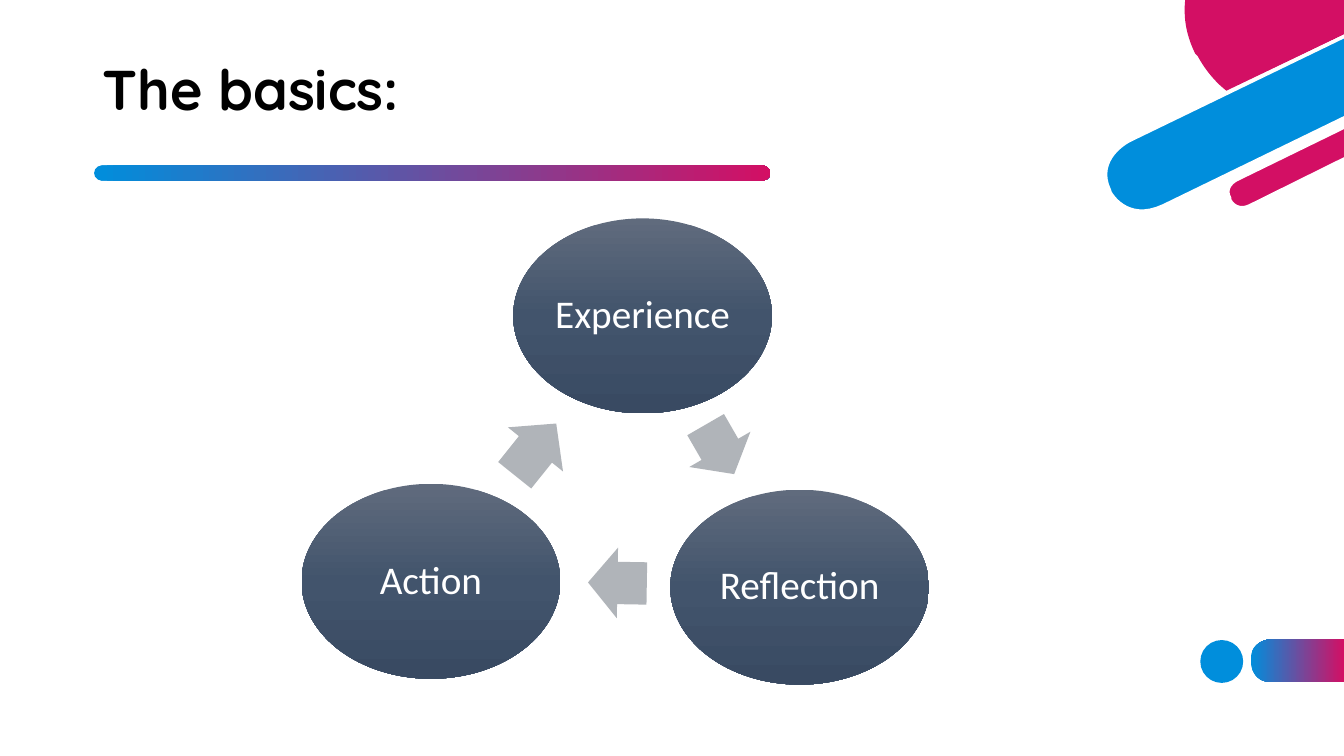
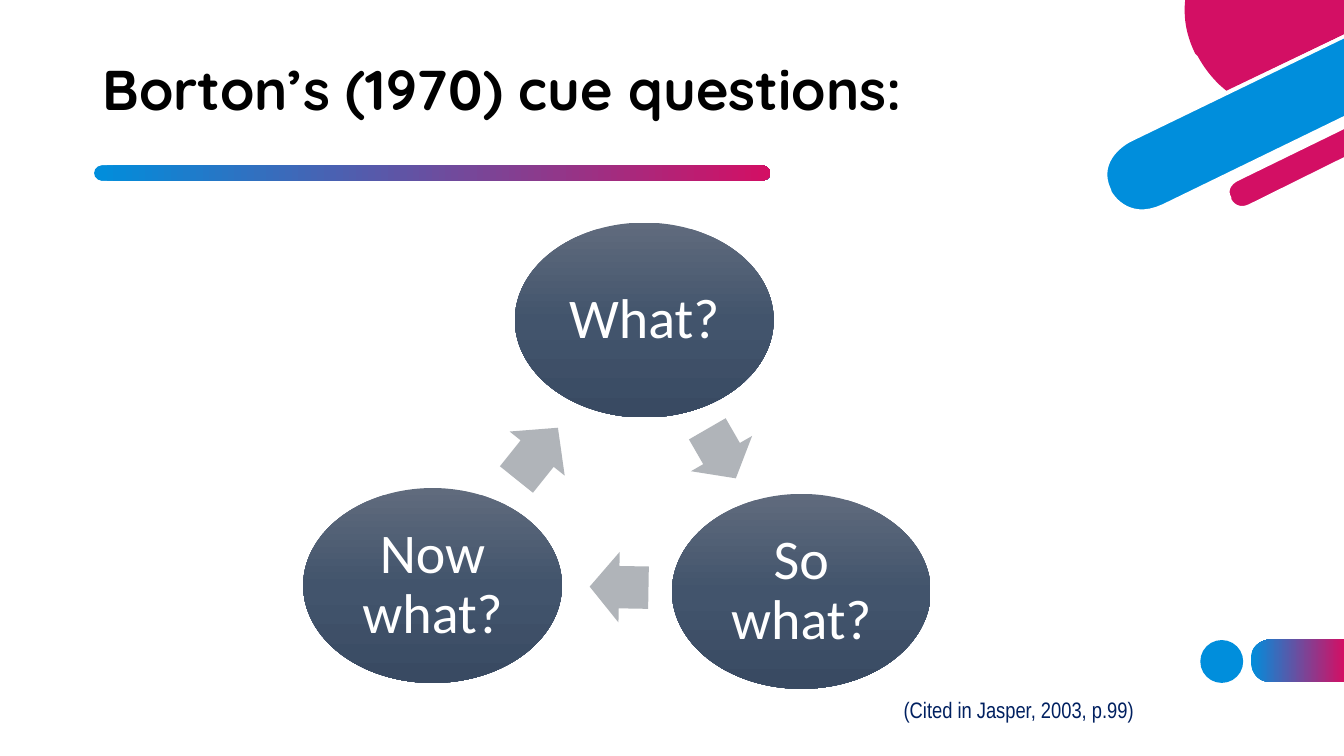
import copy
from dataclasses import dataclass

import pptx
import pptx.dml.color
import pptx.enum.shapes
import pptx.enum.text
import pptx.oxml.ns
import pptx.util

SHAPES = pptx.enum.shapes.MSO_SHAPE
ALIGN = pptx.enum.text.PP_ALIGN
ANCHOR = pptx.enum.text.MSO_ANCHOR
COLUMNS, ROWS = 16, 9
CELL = pptx.util.Inches(7.5) / ROWS


@dataclass(frozen=True)
class Theme:
    blue: str = "008EDC"
    pink: str = "D30F64"
    white: str = "FFFFFF"
    black: str = "000000"
    navy: str = "002060"
    arrow: str = "B0B4B9"
    sweep: tuple = ((0, "008EDC"), (1, "D30F64"))
    slate: tuple = ((0, "606B7D"), (0.5, "42546C"), (1, "394A62"))
    title_font: str = "Quicksand"
    node_font: str = "Calibri"
    note_font: str = "Arial Narrow"
    title_size: int = 40
    word_size: int = 28
    question_size: int = 40
    note_size: int = 16
    band_edge: float = 2.5


# Outlines in columns and rows: pairs are corners, sixes are Bezier curves
TAB = [(15.14, 8.12), (16, 8.12), (16, 7.61), (15.14, 7.61),
       (15.14, 7.61, 14.89, 7.61, 14.89, 7.86), (14.89, 7.87),
       (14.89, 7.87, 14.89, 8.12, 15.14, 8.12)]
BLOB = [(14.26, 0.67), (14.26, 0.67, 14.38, 0.91, 14.6, 1.08), (16, 0.41),
        (16, 0), (14.11, 0), (14.09, 0.18, 14.11, 0.4, 14.23, 0.64)]
WIDE_BAND = [(13.45, 1.67), (13.45, 1.67, 13.02, 1.88, 13.21, 2.27),
             (13.21, 2.28), (13.21, 2.28, 13.4, 2.66, 13.85, 2.45),
             (16.03, 1.39), (16.03, 0.42)]
THIN_BAND = [(16.03, 1.5), (14.72, 2.14),
             (14.72, 2.14, 14.56, 2.22, 14.64, 2.36), (14.64, 2.38),
             (14.64, 2.38, 14.71, 2.53, 14.88, 2.45), (16.03, 1.88)]

# Cycle parts, measured from the cycle's top left corner
NODE_SIZE = (3.08, 2.32)
NODES = [(2.52, 0), (4.39, 3.23), (0, 3.16)]
ARROW_HEIGHT = 0.84
ARROWS = [(4.64, 2.33, 0.68, 60), (3.41, 3.92, 0.7, 181),
          (2.39, 2.33, 0.79, 308.7)]  # left, top, width, rotation


def cells(*values):
    return [pptx.util.Emu(round(value * CELL)) for value in values]


def rgb(code):
    return pptx.dml.color.RGBColor.from_string(code)


def trace(outline, steps=16):
    """Turn corners and curves into a list of points."""
    points = [outline[0]]
    for part in outline[1:]:
        if len(part) == 2:
            points.append(part)
            continue
        knots = [points[-1], part[:2], part[2:4], part[4:]]
        for step in range(1, steps + 1):
            t = step / steps
            weights = ((1 - t) ** 3, 3 * t * (1 - t) ** 2,
                       3 * t * t * (1 - t), t ** 3)
            points.append(tuple(sum(w * knot[axis] for w, knot in zip(weights, knots))
                                for axis in (0, 1)))
    return points


class Painter:
    def __init__(self, theme):
        self.theme = theme
        self.deck = pptx.Presentation()
        self.deck.slide_width, self.deck.slide_height = cells(COLUMNS, ROWS)
        self.layout = self.deck.slide_layouts[5]
        self.page = None

    def paint(self, shape, fill, angle=0, edge=None):
        """Fill with one colour or with gradient stops."""
        shape.shadow.inherit = False
        if isinstance(fill, str):
            shape.fill.solid()
            shape.fill.fore_color.rgb = rgb(fill)
        else:
            shape.fill.gradient()
            shape.fill.gradient_angle = angle
            stops = shape.element.spPr.find(".//" + pptx.oxml.ns.qn("a:gsLst"))
            while len(stops) < len(fill):
                stops.append(copy.deepcopy(stops[0]))
            for stop, (position, colour) in zip(shape.fill.gradient_stops, fill):
                stop.position = position
                stop.color.rgb = rgb(colour)
        if edge:
            shape.line.color.rgb = rgb(edge)
            shape.line.width = pptx.util.Pt(self.theme.band_edge)
        else:
            shape.line.fill.background()
        return shape

    def preset(self, kind, place, fill, angle=0):
        shape = self.page.shapes.add_shape(kind, *cells(*place))
        return self.paint(shape, fill, angle)

    def freeform(self, outline, fill, edge=None):
        first, *rest = [cells(*point) for point in trace(outline)]
        builder = self.page.shapes.build_freeform(*first)
        builder.add_line_segments(rest, close=True)
        return self.paint(builder.convert_to_shape(), fill, edge=edge)

    def set_text(self, box, text, font, size, colour, align=ALIGN.LEFT,
                 anchor=ANCHOR.TOP, spacing=None, bold=False):
        frame = box.text_frame
        frame.text = text
        frame.word_wrap = True
        frame.vertical_anchor = anchor
        para = frame.paragraphs[0]
        para.alignment = align
        para.line_spacing = spacing
        para.font.name = font
        para.font.size = pptx.util.Pt(size)
        para.font.bold = bold
        para.font.color.rgb = rgb(colour)

    def decorate_layout(self):
        """Draw the shared decoration and keep it on the layout."""
        theme = self.theme
        for holder in list(self.layout.placeholders):
            if holder.placeholder_format.idx:
                holder.element.getparent().remove(holder.element)
            else:
                holder.left, holder.top, holder.width, holder.height = cells(
                    1.1, 0.48, 11.88, 1.24)
        rule = self.preset(SHAPES.ROUNDED_RECTANGLE, (1.12, 1.97, 8.05, 0.18), theme.sweep)
        rule.adjustments[0] = 0.5
        parts = [
            self.preset(SHAPES.OVAL, (14.29, 7.62, 0.51, 0.51), theme.blue),
            self.freeform(TAB, theme.sweep),
            self.freeform(BLOB, theme.pink),
            self.freeform(WIDE_BAND, theme.blue, theme.white),
            self.freeform(THIN_BAND, theme.pink, theme.white),
            rule,
        ]
        for index, part in enumerate(parts):
            part.element.nvSpPr.cNvPr.set("id", str(100 + index))
            self.layout.shapes.element.insert(2 + index, part.element)

    def add_page(self, title):
        first = self.page is None
        self.page = self.deck.slides.add_slide(self.layout)
        if first:
            self.decorate_layout()
        theme = self.theme
        self.set_text(self.page.shapes.title, title, theme.title_font, theme.title_size,
                      theme.black, anchor=ANCHOR.MIDDLE, spacing=0.9, bold=True)

    def cycle(self, left, top, labels, size, inset):
        theme = self.theme
        for (x, y), label in zip(NODES, labels):
            node = self.preset(SHAPES.OVAL, (left + x, top + y, *NODE_SIZE),
                               theme.slate, angle=270)
            frame = node.text_frame
            frame.margin_left = frame.margin_right = pptx.util.Inches(inset)
            frame.margin_top = frame.margin_bottom = pptx.util.Inches(inset)
            self.set_text(node, label, theme.node_font, size, theme.white,
                          ALIGN.CENTER, ANCHOR.MIDDLE, 0.9)
        for x, y, width, rotation in ARROWS:
            arrow = self.preset(SHAPES.RIGHT_ARROW,
                                (left + x, top + y, width, ARROW_HEIGHT), theme.arrow)
            arrow.adjustments[0] = 0.6
            arrow.adjustments[1] = 0.5
            arrow.rotation = rotation

    def note(self, place, text):
        theme = self.theme
        box = self.page.shapes.add_textbox(*cells(*place))
        self.set_text(box, text, theme.note_font, theme.note_size, theme.navy)


def main():
    theme = Theme()
    painter = Painter(theme)

    # Learning cycle
    painter.add_page("The basics:")
    painter.cycle(3.59, 2.6, ["Experience", "Reflection", "Action"],
                  theme.word_size, 0.04)

    # Cue questions
    painter.add_page("Borton’s (1970) cue questions:")
    painter.cycle(3.61, 2.65, ["What?", "So what?", "Now what?"],
                  theme.question_size, 0.06)
    painter.note((10.64, 8.23, 3.78, 0.44), "(Cited in Jasper, 2003, p.99)")

    painter.deck.save("out.pptx")


if __name__ == "__main__":
    main()
